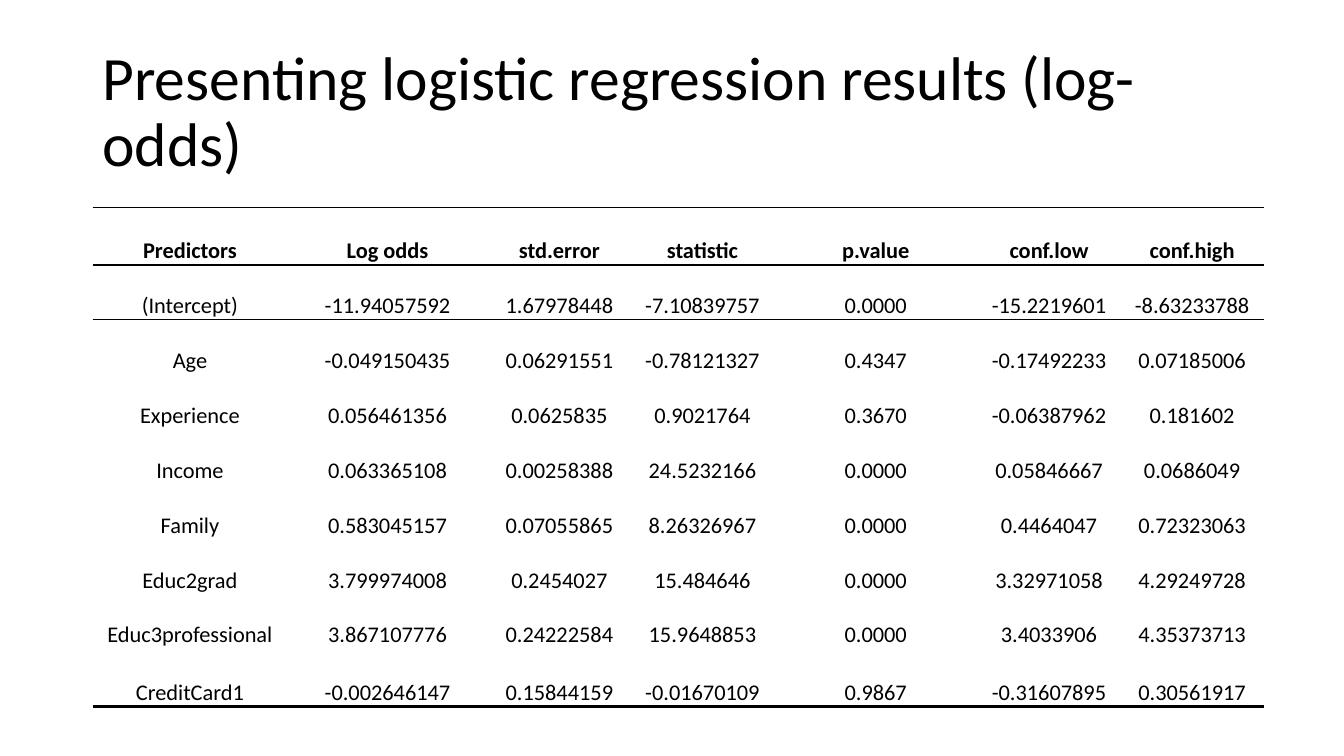
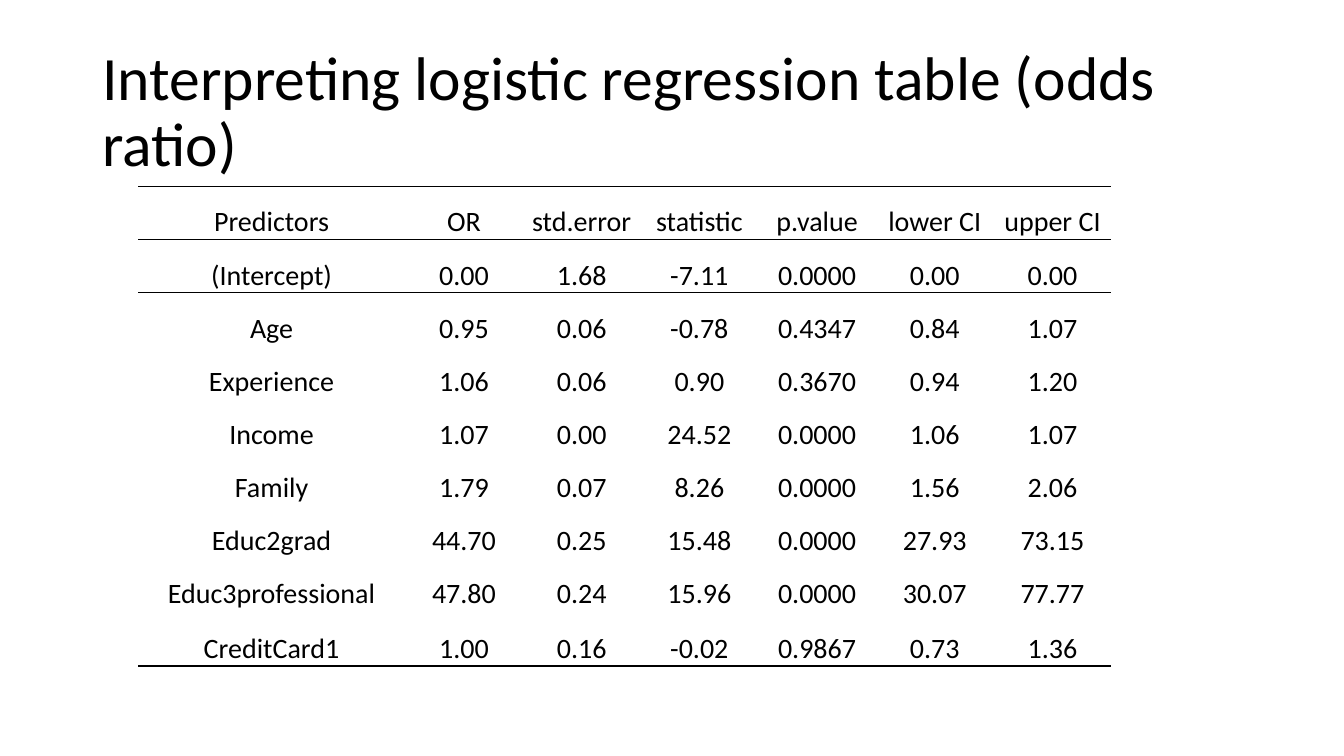
from dataclasses import dataclass

from lxml.etree import SubElement
from pptx import Presentation
from pptx.dml.color import RGBColor
from pptx.enum.text import MSO_ANCHOR as Anchor, MSO_AUTO_SIZE as AutoSize, PP_ALIGN as Align
from pptx.oxml.ns import qn
from pptx.util import Pt


@dataclass(frozen=True)
class Theme:
    font: str = "Calibri"
    ink: str = "000000"
    title_size: int = 44
    thin: float = 0.5
    medium: float = 1
    thick: float = 2


THEME = Theme()
TITLE_ONLY = 5
PLAIN_TABLE_STYLE = "{2D5ABB26-0587-4C30-8999-92F81FD0307C}"

PREDICTORS = ["(Intercept)", "Age", "Experience", "Income", "Family",
              "Educ2grad", "Educ3professional", "CreditCard1"]
P_VALUES = ["0.0000", "0.4347", "0.3670", "0.0000", "0.0000", "0.0000", "0.0000", "0.9867"]

# Columns are listed as (header, width, values).
SLIDES = [
    {
        "title": "Presenting logistic regression results (log-odds)",
        "left": 66.2, "top": 148.3,
        "header_height": 41, "row_height": 39.2, "last_height": 41,
        "size": 16, "bold_header": True, "header_rule": THEME.medium,
        "columns": [
            ("Predictors", 139, PREDICTORS),
            ("Log odds", 143.3, ["-11.94057592", "-0.049150435", "0.056461356", "0.063365108",
                                 "0.583045157", "3.799974008", "3.867107776", "-0.002646147"]),
            ("std.error", 102.2, ["1.67978448", "0.06291551", "0.0625835", "0.00258388",
                                  "0.07055865", "0.2454027", "0.24222584", "0.15844159"]),
            ("statistic", 102.2, ["-7.10839757", "-0.78121327", "0.9021764", "24.5232166",
                                  "8.26326967", "15.484646", "15.9648853", "-0.01670109"]),
            ("p.value", 145.4, P_VALUES),
            ("conf.low", 102.2, ["-15.2219601", "-0.17492233", "-0.06387962", "0.05846667",
                                 "0.4464047", "3.32971058", "3.4033906", "-0.31607895"]),
            ("conf.high", 102.2, ["-8.63233788", "0.07185006", "0.181602", "0.0686049",
                                  "0.72323063", "4.29249728", "4.35373713", "0.30561917"]),
        ],
    },
    {
        "title": "Interpreting logistic regression table (odds ratio)",
        "left": 98.6, "top": 133.2,
        "header_height": 37.9, "row_height": 37.9, "last_height": 39.2,
        "size": 20, "bold_header": False, "header_rule": THEME.thin,
        "columns": [
            ("Predictors", 190.8, PREDICTORS),
            ("OR", 84.1, ["0.00", "0.95", "1.06", "1.07", "1.79", "44.70", "47.80", "1.00"]),
            ("std.error", 84.1, ["1.68", "0.06", "0.06", "0.00", "0.07", "0.25", "0.24", "0.16"]),
            ("statistic", 84.1, ["-7.11", "-0.78", "0.90", "24.52",
                                 "8.26", "15.48", "15.96", "-0.02"]),
            ("p.value", 84.1, P_VALUES),
            ("lower CI", 84.1, ["0.00", "0.84", "0.94", "1.06", "1.56", "27.93", "30.07", "0.73"]),
            ("upper CI", 84.1, ["0.00", "1.07", "1.20", "1.07", "2.06", "73.15", "77.77", "1.36"]),
        ],
    },
]


def write(text_frame, text, size, align, bold=False, line_spacing=None):
    paragraph = text_frame.paragraphs[0]
    paragraph.alignment = align
    paragraph.line_spacing = line_spacing
    run = paragraph.add_run()
    run.text = text
    run.font.name = THEME.font
    run.font.size = Pt(size)
    run.font.bold = bold
    run.font.color.rgb = RGBColor.from_string(THEME.ink)


def add_rule(cell, side, width):
    """Draw one cell border; side is "T" or "B", and T must be added before B."""
    line = SubElement(cell._tc.get_or_add_tcPr(), qn(f"a:ln{side}"), w=str(Pt(width)))
    SubElement(SubElement(line, qn("a:solidFill")), qn("a:srgbClr"), val=THEME.ink)


presentation = Presentation()
presentation.slide_width, presentation.slide_height = Pt(960), Pt(540)

for content in SLIDES:
    slide = presentation.slides.add_slide(presentation.slide_layouts[TITLE_ONLY])
    title = slide.shapes.title
    title.left, title.top, title.width, title.height = Pt(66), Pt(28.75), Pt(828), Pt(104.4)
    title.text_frame.auto_size = AutoSize.NONE
    title.text_frame.word_wrap = True
    title.text_frame.vertical_anchor = Anchor.MIDDLE
    write(title.text_frame, content["title"], THEME.title_size, Align.LEFT, line_spacing=0.9)

    columns = content["columns"]
    heights = [content["header_height"],
               *[content["row_height"]] * (len(PREDICTORS) - 1),
               content["last_height"]]
    last_row = len(heights) - 1
    table_shape = slide.shapes.add_table(
        len(heights), len(columns), Pt(content["left"]), Pt(content["top"]),
        Pt(sum(width for _, width, _ in columns)), Pt(sum(heights)))
    for style in table_shape.element.iter(qn("a:tableStyleId")):
        style.text = PLAIN_TABLE_STYLE
    table = table_shape.table
    table.first_row = table.horz_banding = False
    for row, height in zip(table.rows, heights):
        row.height = Pt(height)

    top_rules = {0: THEME.thin, 1: content["header_rule"]}
    bottom_rules = {0: content["header_rule"], last_row: THEME.thick}
    for column_index, (header, width, values) in enumerate(columns):
        table.columns[column_index].width = Pt(width)
        for row_index, text in enumerate([header, *values]):
            cell = table.cell(row_index, column_index)
            cell.margin_left = cell.margin_right = cell.margin_top = Pt(0.72)
            cell.margin_bottom = Pt(0)
            cell.vertical_anchor = Anchor.BOTTOM
            for side, rules in (("T", top_rules), ("B", bottom_rules)):
                if row_index in rules:
                    add_rule(cell, side, rules[row_index])
            cell.fill.background()
            write(cell.text_frame, text, content["size"], Align.CENTER,
                  bold=content["bold_header"] and row_index == 0)

presentation.save("out.pptx")
